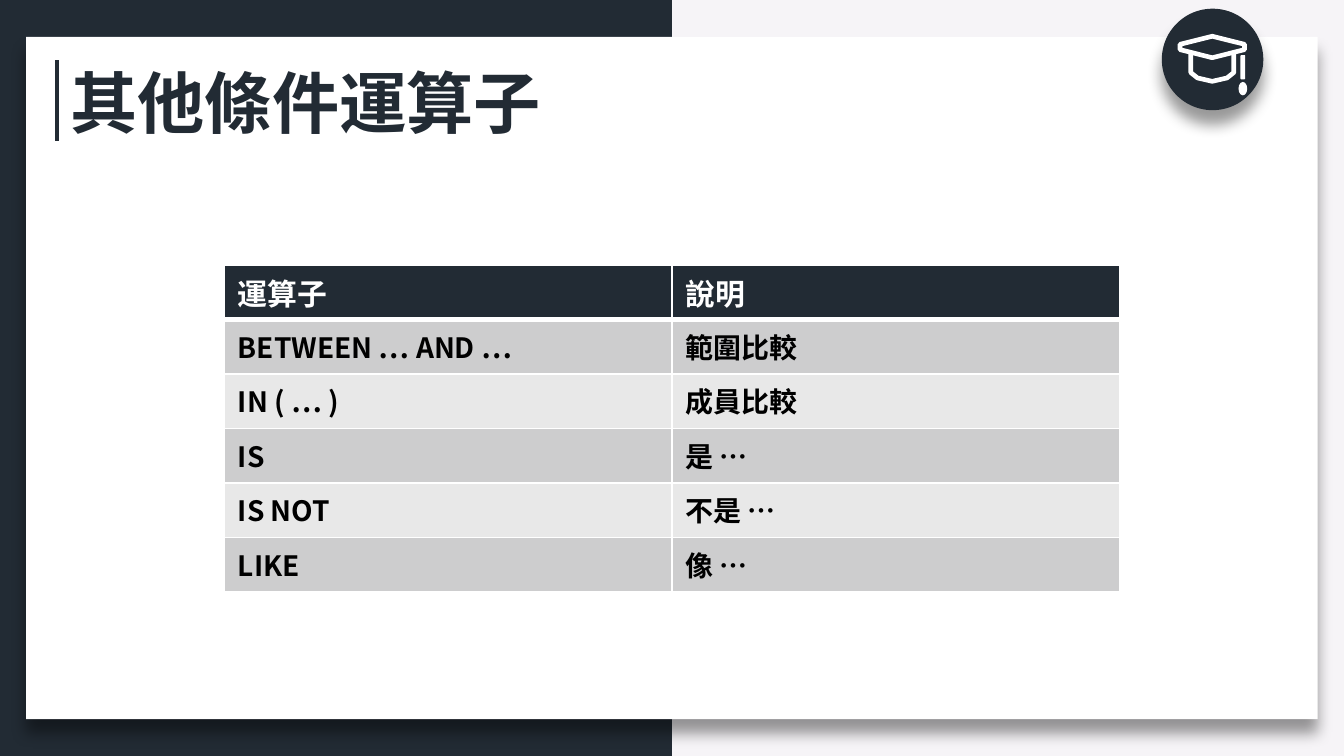
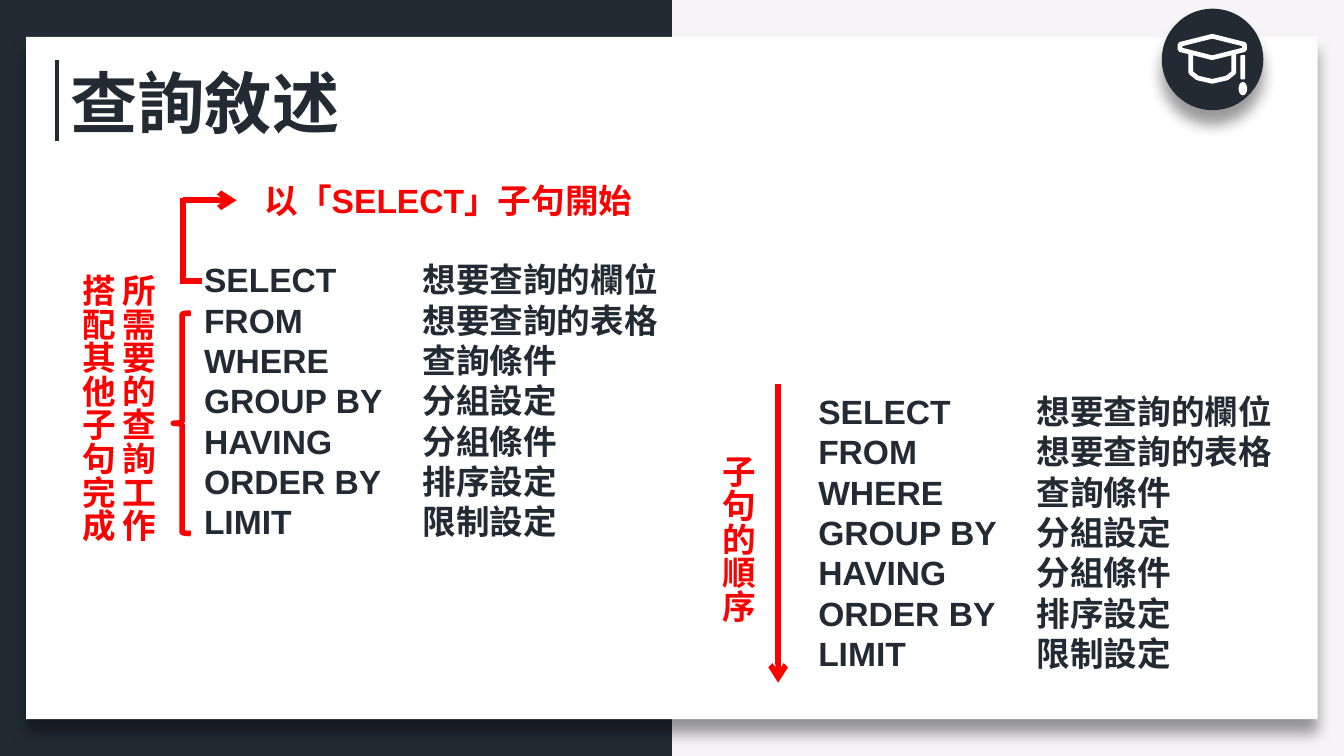
from lxml.etree import SubElement as Sub
from pptx import Presentation
from pptx.dml.color import RGBColor
from pptx.enum.shapes import MSO_CONNECTOR as Link, MSO_SHAPE as Kind
from pptx.enum.text import MSO_ANCHOR as Anchor, MSO_AUTO_SIZE as Fit, PP_ALIGN as Align
from pptx.oxml.ns import qn
from pptx.util import Inches, Pt

NAVY = RGBColor(0x22, 0x2B, 0x34)
PALE = RGBColor(0xF6, 0xF4, 0xF7)
WHITE = RGBColor(0xFF, 0xFF, 0xFF)
BLACK = RGBColor(0, 0, 0)
RED = RGBColor(0xFF, 0, 0)
BANDS = [RGBColor(0xE8, 0xE8, 0xE8), RGBColor(0xCD, 0xCD, 0xCE)]
NOTO = "Noto Sans CJK SC"
COLS, ROWS = 100, 56.25
UNIT = Inches(0.1)


def at(*cells):
    return [int(cell * UNIT) for cell in cells]


def ink(para, size, color, face=NOTO):
    font = para.font
    font.size, font.bold, font.name = Pt(size), True, face
    font.color.rgb = color
    Sub(font._element, qn("a:ea"), typeface=NOTO)


deck = Presentation()
deck.slide_width, deck.slide_height = at(COLS, ROWS)
base = deck.slide_layouts[5]
base.background.fill.solid()
base.background.fill.fore_color.rgb = PALE
for hold in list(base.placeholders)[1:]:
    hold._element.getparent().remove(hold._element)
first = deck.slides.add_slide(base)
second = deck.slides.add_slide(base)

frames = [
    (Kind.RECTANGLE, (0, 0, COLS / 2, ROWS), NAVY, False),
    (Kind.RECTANGLE, (1.95, 2.75, 96.1, 50.75), WHITE, True),
    (Kind.OVAL, (86.45, 0.65, 7.55, 7.55), NAVY, True),
    (Kind.ROUNDED_RECTANGLE, (92.3, 4.1, 0.35, 1.8), WHITE, False),
    (Kind.OVAL, (92.15, 6.1, 0.65, 1), WHITE, False),
]
for kind, place, color, cast in frames:
    shape = first.shapes.add_shape(kind, *at(*place))
    shape.fill.solid()
    shape.fill.fore_color.rgb = color
    shape.line.fill.background()
    shape.shadow.inherit = False
    if cast:
        glow = Sub(shape._element.spPr.find(qn("a:effectLst")), qn("a:outerShdw"),
                   blurRad=str(Pt(8)), dist=str(Pt(8)), dir="5400000",
                   algn="t", rotWithShape="0")
        tint = Sub(glow, qn("a:srgbClr"), val="000000")
        Sub(tint, qn("a:alpha"), val="40000")

brim = [(90.2, 2.7), (92.6, 3.3), (92.6, 3.7), (90.2, 4.3), (87.8, 3.7), (87.8, 3.3)]
bowl = [(88.6, 4), (88.6, 5.4), (89.1, 5.8), (90.2, 6.05), (91.3, 5.8), (91.8, 5.4), (91.8, 4)]
for points, close in [(brim, True), (bowl, False)]:
    start, *rest = [at(*point) for point in points]
    pen = first.shapes.build_freeform(*start)
    pen.add_line_segments(rest, close=close)
    cap = pen.convert_to_shape()
    cap.fill.background()
    cap.line.color.rgb = WHITE
    cap.line.width = Pt(2.5)
    cap.shadow.inherit = False

lines = [
    (first, (4.25, 4.5, 4.25, 10.5), NAVY, 2.25, False),
    (second, (57.9, 28.6, 57.9, 50.8), RED, 3, True),
    (second, (13.5, 20.9, 15, 20.9), RED, 3, False),
    (second, (13.6, 21.1, 13.6, 14.7), RED, 3, False),
    (second, (13.6, 14.9, 17.6, 14.9), RED, 3, True),
]
for slide, ends, color, width, arrow in lines:
    line = slide.shapes.add_connector(Link.STRAIGHT, *at(*ends))
    line.line.color.rgb = color
    line.line.width = Pt(width)
    Sub(line._element.spPr, qn("a:effectLst"))
    if arrow:
        Sub(line.line._get_or_add_ln(), qn("a:tailEnd"), type="arrow")

for shape in list(first.shapes)[1:]:
    base.shapes._spTree.append(shape._element)

for slide, text in [(first, "其他條件運算子"), (second, "查詢敘述")]:
    title = slide.shapes.title
    title.left, title.top, title.width, title.height = at(4.25, 4, 2 + 5.05 * len(text), 7.1)
    frame = title.text_frame
    frame.text = text
    frame.word_wrap = False
    frame.auto_size = Fit.NONE
    frame.vertical_anchor = Anchor.MIDDLE
    frame.paragraphs[0].alignment = Align.LEFT
    ink(frame.paragraphs[0], 36, NAVY)

rules = [
    ("運算子", "說明"),
    ("BETWEEN … AND …", "範圍比較"),
    ("IN ( … )", "成員比較"),
    ("IS", "是 …"),
    ("IS NOT", "不是 …"),
    ("LIKE", "像 …"),
]
grid = first.shapes.add_table(len(rules), 2, *at(16.7, 19.75, 66.6, 24.3)).table
for r, rule in enumerate(rules):
    for c, text in enumerate(rule):
        cell = grid.cell(r, c)
        cell.text = text
        cell.margin_top = cell.margin_bottom = Pt(3.3 if r else 2.8)
        ink(cell.text_frame.paragraphs[0], 15 if r else 16, BLACK if r else WHITE)
        for side in "LRTB":
            thick = 3 if (r, side) in [(0, "B"), (1, "T")] else 1
            edge = Sub(cell._tc.get_or_add_tcPr(), qn("a:ln" + side), w=str(Pt(thick)))
            Sub(Sub(edge, qn("a:solidFill")), qn("a:srgbClr"), val=str(WHITE))
        cell.fill.solid()
        cell.fill.fore_color.rgb = BANDS[r % 2] if r else NAVY

brace = second.shapes.add_shape(Kind.LEFT_BRACE, *at(12.9, 23.3, 1.3, 16.4))
brace.fill.background()
brace.line.color.rgb = RED
brace.line.width = Pt(3)
brace.shadow.inherit = False

query = [
    "SELECT\t想要查詢的欄位",
    "FROM\t想要查詢的表格",
    "WHERE\t查詢條件",
    "GROUP BY\t分組設定",
    "HAVING\t分組條件",
    "ORDER BY\t排序設定",
    "LIMIT\t限制設定",
]
texts = [
    ((59.9, 28.6, 37, 22.2), query, NAVY, "Arial", False),
    ((14.2, 18.8, 37, 22.2), query, NAVY, "Arial", False),
    ((18.7, 12.9, 29.6, 4), ["以「SELECT」子句開始"], RED, "Arial", False),
    ((51.9, 32.9, 5, 13.6), ["子句的順序"], RED, "Calibri", True),
    ((4.2, 19.4, 8.1, 21.2), ["所需要的查詢工作", "搭配其他子句完成"], RED, "Calibri", True),
]
for place, words, color, face, tall in texts:
    frame = second.shapes.add_textbox(*at(*place)).text_frame
    frame.word_wrap = words is query
    frame.text = "\n".join(words)
    if tall:
        frame._txBody.bodyPr.set("vert", "eaVert")
    for para in frame.paragraphs:
        para.line_spacing = Pt(21.6)
        para.alignment = Align.CENTER if tall else Align.LEFT
        if words is query:
            stops = Sub(para._p.get_or_add_pPr(), qn("a:tabLst"))
            Sub(stops, qn("a:tab"), pos=str(at(16.25)[0]), algn="l")
        ink(para, 18, color, face)

deck.save("out.pptx")
